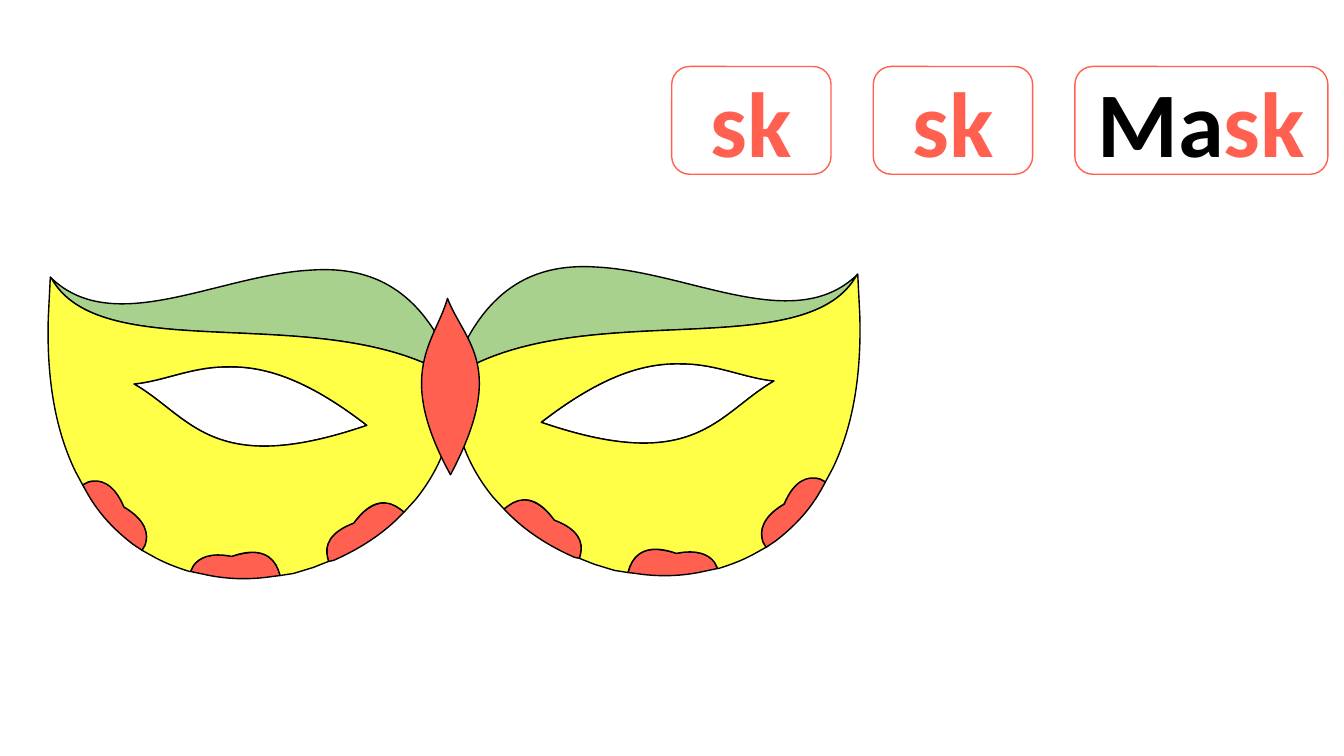
import lxml.etree
import pptx
import pptx.dml.color
import pptx.enum.shapes
import pptx.enum.text
import pptx.oxml.ns
import pptx.util

Pt = pptx.util.Pt
RGBColor = pptx.dml.color.RGBColor
qn = pptx.oxml.ns.qn

CORAL = RGBColor(0xFF, 0x60, 0x50)
YELLOW = RGBColor(0xFF, 0xFF, 0x47)
GREEN = RGBColor(0xA9, 0xD1, 0x8E)
WHITE = RGBColor(0xFF, 0xFF, 0xFF)
BLACK = RGBColor(0, 0, 0)

UNIT = Pt(0.72)
CURVE_STEPS = 16
MIRROR_SUM = 901
MIRROR_DROP = 3

BOTTOM_PETAL = [
    (648, 545), (654, 545, 662, 546, 671, 549), (692, 545, 703, 550, 709, 558),
    (712, 564), (693, 568), (672, 572, 651, 572, 631, 569), (623, 568),
    (625, 562), (629, 553, 635, 546, 648, 545),
]
BROW = [
    (593, 265), (685, 270, 789, 333, 851, 272), (850, 273),
    (803, 358, 605, 301, 476, 359), (451, 373), (454, 356),
    (487, 279, 538, 261, 593, 265),
]
EYE = [
    (676, 361), (711, 361, 738, 375, 768, 378), (712, 410, 691, 472, 537, 419),
    (599, 371, 641, 360, 676, 361),
]
OUTER_PETAL = [
    (806, 474), (809, 474, 811, 475, 813, 475), (819, 478), (814, 487),
    (802, 508, 786, 524, 769, 537), (760, 543), (757, 538),
    (753, 527, 756, 513, 778, 500), (786, 481, 796, 474, 806, 474),
]
INNER_PETAL = [
    (517, 496), (527, 495, 538, 500, 550, 516), (574, 525, 579, 538, 576, 550),
    (575, 554), (570, 553), (545, 542, 521, 527, 502, 507), (500, 505),
    (504, 502), (508, 499, 512, 497, 517, 496),
]
FACE = [
    (851, 272), (853, 312), (855, 376, 845, 426, 826, 465), (819, 478),
    (813, 475), (802, 472, 788, 476, 778, 500), (756, 513, 753, 527, 757, 538),
    (760, 543), (751, 548), (739, 555, 726, 560, 713, 564), (712, 564),
    (709, 558), (703, 550, 692, 545, 671, 549), (643, 539, 630, 549, 625, 562),
    (623, 568), (610, 566), (603, 564, 597, 562, 590, 560), (575, 554),
    (576, 550), (579, 538, 574, 525, 550, 516), (532, 491, 516, 493, 504, 502),
    (500, 505), (489, 493), (463, 461, 448, 422, 451, 379), (451, 373),
    (476, 359), (605, 301, 803, 358, 850, 273), (851, 272),
]
NOSE = [
    (444, 296), (461, 340, 504, 363, 447, 471), (391, 369, 432, 339, 444, 296),
]
HALF_MASK = [
    ([BOTTOM_PETAL], CORAL), ([BROW], GREEN), ([EYE], WHITE),
    ([OUTER_PETAL], CORAL), ([INNER_PETAL], CORAL), ([FACE, EYE], YELLOW),
]

CARD_LEFT, CARD_TOP, CARD_PITCH, CARD_HEIGHT = 479.8, 47.5, 144, 77
SOUND_WIDTH, WORD_WIDTH = 113.8, 180.7


def mirror(outline):
    return [
        tuple(MIRROR_SUM - value if index % 2 == 0 else value + MIRROR_DROP
              for index, value in enumerate(segment))
        for segment in outline
    ]


def bounds(outline):
    points = [outline[0]]
    for segment in outline[1:]:
        if len(segment) == 2:
            points.append(segment)
            continue
        controls = [points[-1], segment[:2], segment[2:4], segment[4:]]
        for step in range(1, CURVE_STEPS + 1):
            t = step / CURVE_STEPS
            weights = ((1 - t) ** 3, 3 * t * (1 - t) ** 2, 3 * t ** 2 * (1 - t), t ** 3)
            points.append(tuple(
                sum(weight * control[axis] for weight, control in zip(weights, controls))
                for axis in (0, 1)
            ))
    return [tuple(round(edge(values) * UNIT) for values in zip(*points))
            for edge in (min, max)]


class SlideBuilder:
    font_format = {"name": "Calibri", "size": Pt(66), "bold": True}
    frame_format = {
        "vertical_anchor": pptx.enum.text.MSO_ANCHOR.MIDDLE,
        "word_wrap": True,
    }

    def __init__(self, slide):
        self.slide = slide

    def apply(self, target, values):
        for name, value in values.items():
            setattr(target, name, value)

    def paint(self, shape, fill, line):
        shape.shadow.inherit = False
        shape.fill.solid()
        shape.fill.fore_color.rgb = fill
        shape.line.color.rgb = line
        shape.line.width = Pt(1)

    def card(self, left, width, parts):
        shape = self.slide.shapes.add_shape(
            pptx.enum.shapes.MSO_SHAPE.ROUNDED_RECTANGLE,
            Pt(left), Pt(CARD_TOP), Pt(width), Pt(CARD_HEIGHT))
        self.paint(shape, WHITE, CORAL)
        self.apply(shape.text_frame, self.frame_format)
        paragraph = shape.text_frame.paragraphs[0]
        paragraph.alignment = pptx.enum.text.PP_ALIGN.CENTER
        for text, color in parts:
            run = paragraph.add_run()
            run.text = text
            self.apply(run.font, self.font_format)
            run.font.color.rgb = color

    def group(self):
        return self.slide.shapes.add_group_shape().shapes

    def outline(self, shapes, outlines, fill):
        corner, opposite = bounds(outlines[0])
        builder = shapes.build_freeform(*corner)
        builder.add_line_segments([opposite], close=True)
        shape = builder.convert_to_shape()
        self.paint(shape, fill, BLACK)
        drawing = next(shape.element.iter(qn("a:path")))
        for child in list(drawing):
            drawing.remove(child)
        for outline in outlines:
            for index, segment in enumerate(outline):
                tag = "a:cubicBezTo" if len(segment) == 6 else "a:lnTo"
                command = lxml.etree.SubElement(drawing, qn(tag if index else "a:moveTo"))
                for x, y in zip(segment[::2], segment[1::2]):
                    point = lxml.etree.SubElement(command, qn("a:pt"))
                    point.set("x", str(x * UNIT - corner[0]))
                    point.set("y", str(y * UNIT - corner[1]))
            lxml.etree.SubElement(drawing, qn("a:close"))


def main():
    presentation = pptx.Presentation()
    presentation.slide_width = Pt(960)
    presentation.slide_height = Pt(540)
    slide = presentation.slides.add_slide(presentation.slide_layouts[6])
    builder = SlideBuilder(slide)

    sound = [("sk", CORAL)]
    word = [("Ma", BLACK), ("sk", CORAL)]
    cards = [(SOUND_WIDTH, sound), (SOUND_WIDTH, sound), (WORD_WIDTH, word)]
    for index, (width, parts) in enumerate(cards):
        builder.card(CARD_LEFT + index * CARD_PITCH, width, parts)

    mask = builder.group()
    for place in (list, mirror):
        for outlines, fill in HALF_MASK:
            builder.outline(mask, [place(outline) for outline in outlines], fill)
    builder.outline(slide.shapes, [NOSE], CORAL)

    presentation.save("out.pptx")


if __name__ == "__main__":
    main()
